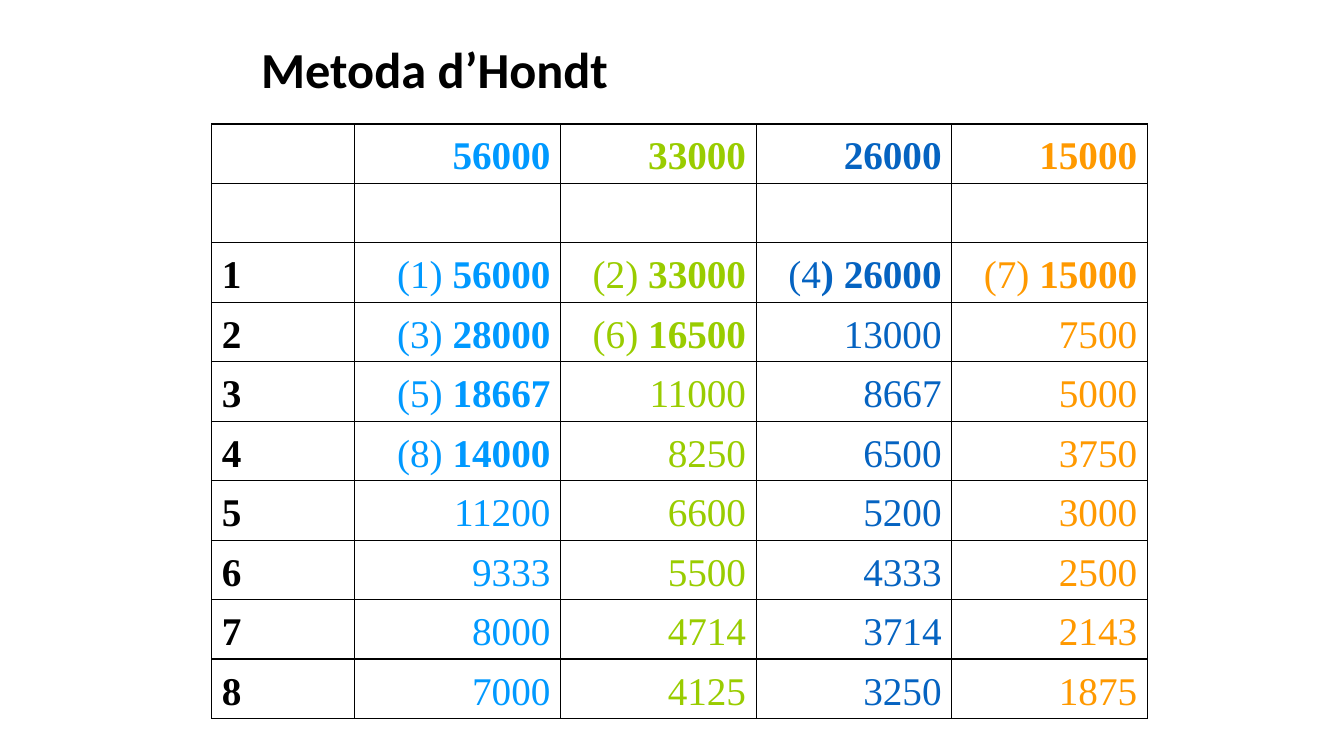
from dataclasses import dataclass

from lxml.etree import SubElement as Sub
from pptx import Presentation
from pptx.dml.color import RGBColor as Rgb
from pptx.enum.text import MSO_ANCHOR as Anchor, PP_ALIGN as Align
from pptx.oxml.ns import qn
from pptx.util import Inches, Pt

HUES = {"black": "000000", "sky": "0099FF", "lime": "99CC00",
        "blue": "0563C1", "gold": "FF9900"}
SEATS = 8
ROW = 0.59
HANG = Inches(0.38)


@dataclass
class Party:
    votes: int
    hue: str
    width: float

    def share(self, part: int) -> int:
        return round(self.votes / part)


PARTIES = [Party(56000, "sky", 2.04), Party(33000, "lime", 1.94),
           Party(26000, "blue", 1.94), Party(15000, "gold", 1.94)]


def write(para, text: str, *, size: float = 28, font: str = "Times New Roman",
          hue: str = "black", bold: bool = False, align=Align.LEFT) -> None:
    """Add one formatted run to a paragraph."""
    para.alignment = align
    run = para.add_run()
    run.text = text
    run.font.size, run.font.name, run.font.bold = Pt(size), font, bold
    run.font.color.rgb = Rgb.from_string(HUES[hue])


def frame(cell) -> None:
    """Clear the fill and draw thin black borders."""
    props = cell._tc.get_or_add_tcPr()
    for side in ("a:lnL", "a:lnR", "a:lnT", "a:lnB"):
        line = Sub(props, qn(side), w=str(Pt(1)))
        fill = Sub(line, qn("a:solidFill"))
        Sub(fill, qn("a:srgbClr"), val=HUES["black"])
    cell.fill.background()
    cell.vertical_anchor = Anchor.BOTTOM


def start(cell):
    """Return the cell's paragraph, set with a hanging indent."""
    para = cell.text_frame.paragraphs[0]
    props = para._p.get_or_add_pPr()
    props.set("marL", str(HANG))
    props.set("indent", str(-HANG))
    return para


def enter(cell, party: Party, part: int, ranks: dict) -> None:
    """Write a quotient, with its rank in front if it wins a seat."""
    look = dict(hue=party.hue, align=Align.RIGHT)
    para, value = start(cell), party.share(part)
    rank = ranks.get((party.votes, part))
    if rank is None:
        write(para, str(value), **look)
        return
    # The bracket after rank 4 is bold
    lead, tail = (f"({rank}", ") ") if rank == 4 else (f"({rank}) ", "")
    write(para, lead, **look)
    write(para, f"{tail}{value}", bold=True, **look)


deck = Presentation()
deck.slide_width, deck.slide_height = Inches(13.33), Inches(7.5)
slide = deck.slides.add_slide(deck.slide_layouts[5])

# Title
title = slide.shapes.title
title.left, title.top = Inches(2.49), Inches(0.36)
title.width, title.height = Inches(8.5), Inches(0.72)
title.text_frame.vertical_anchor = Anchor.MIDDLE
head = title.text_frame.paragraphs[0]
head.line_spacing = 0.9
write(head, "Metoda d’Hondt", size=36, font="Calibri", bold=True)

# Seats go to the highest quotients
parts = range(1, SEATS + 1)
order = sorted(((p.votes, part) for p in PARTIES for part in parts),
               key=lambda pair: pair[0] / pair[1], reverse=True)
ranks = {pair: rank for rank, pair in enumerate(order[:SEATS], 1)}

# Table grid
widths = [1.42] + [p.width for p in PARTIES]
count = SEATS + 2
table = slide.shapes.add_table(count, len(widths), Inches(2.1), Inches(1.23),
                               Inches(sum(widths)), Inches(ROW * count)).table
table.first_row = table.horz_banding = False
for col, width in zip(table.columns, widths):
    col.width = Inches(width)
for row in table.rows:
    row.height = Inches(ROW)
for cell in table.iter_cells():
    frame(cell)

# Votes on top, divisors at left, quotients between
for col, party in enumerate(PARTIES, 1):
    write(start(table.cell(0, col)), str(party.votes), hue=party.hue,
          bold=True, align=Align.RIGHT)
    for part in parts:
        enter(table.cell(part + 1, col), party, part, ranks)
for part in parts:
    write(start(table.cell(part + 1, 0)), str(part), bold=True)

deck.save("out.pptx")
